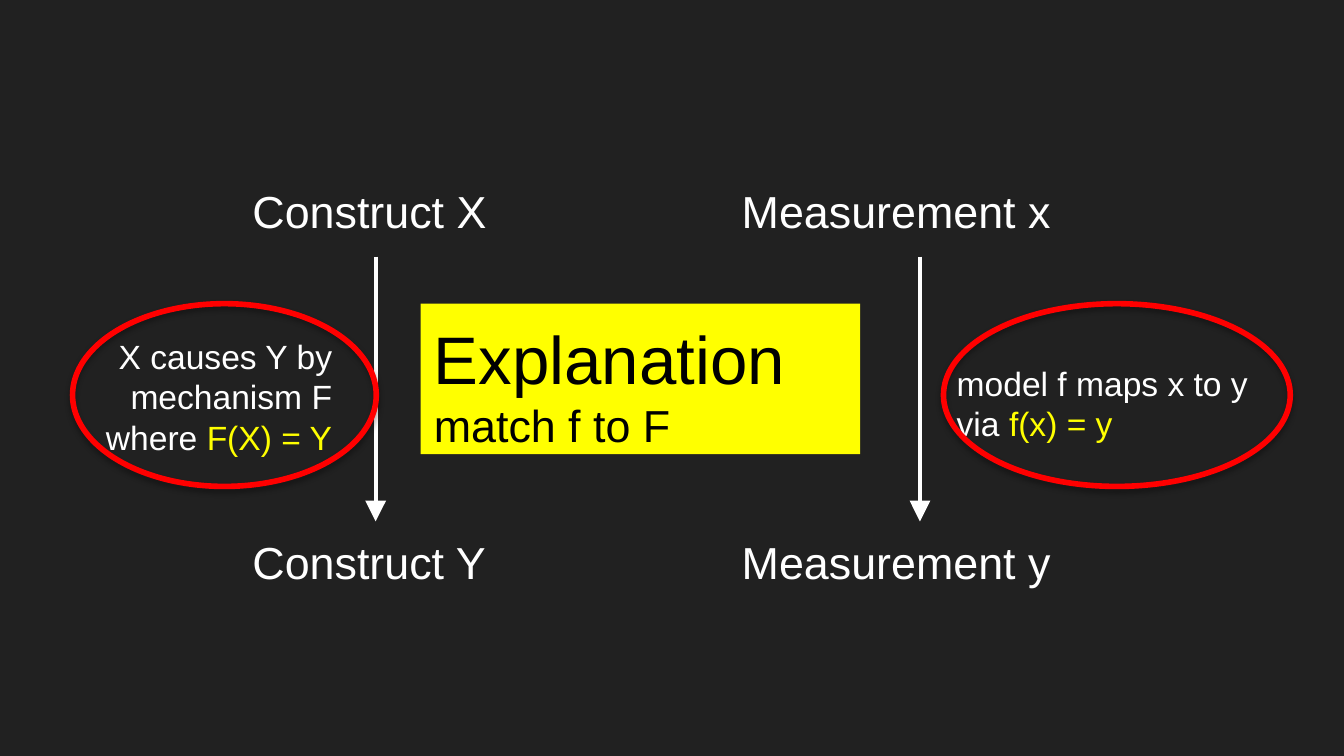
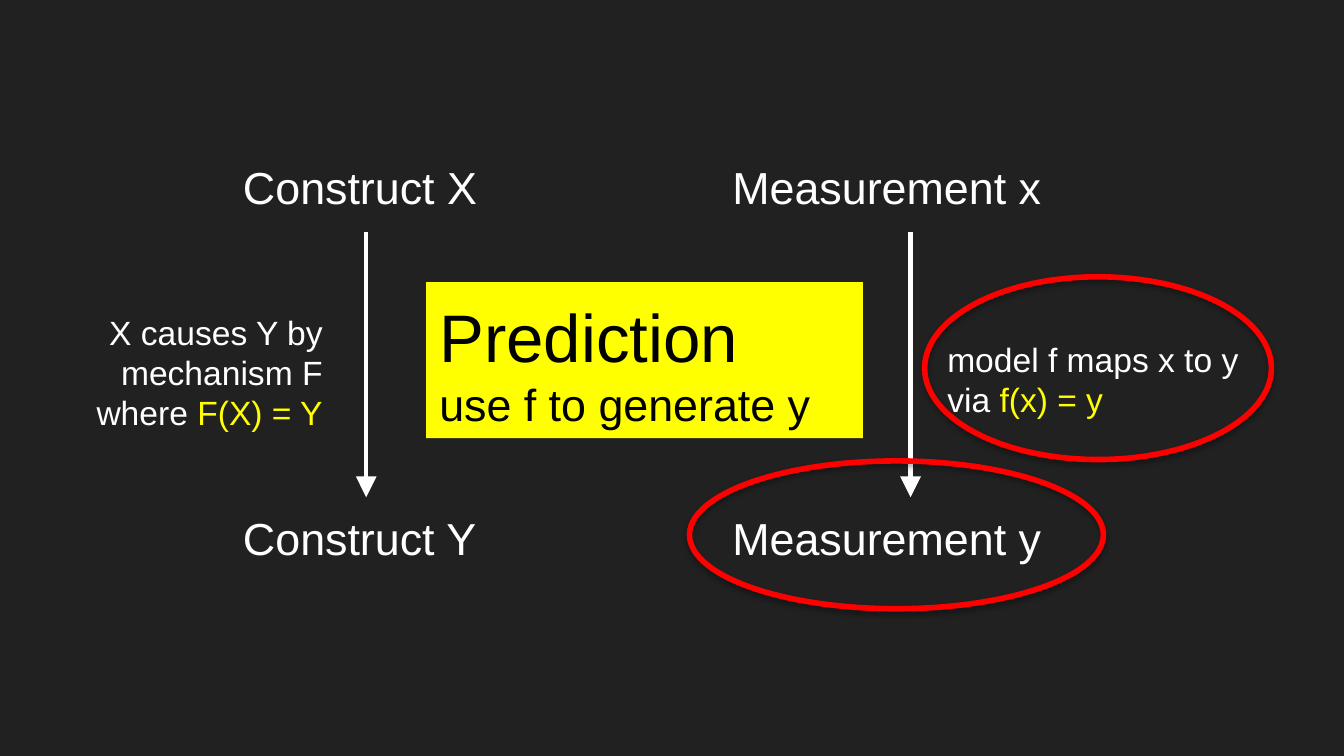
from lxml import etree
from pptx import Presentation
from pptx.dml.color import RGBColor
from pptx.enum.shapes import MSO_CONNECTOR, MSO_SHAPE
from pptx.enum.text import MSO_ANCHOR, PP_ALIGN
from pptx.oxml import parse_xml
from pptx.oxml.ns import nsdecls, qn
from pptx.util import Inches, Pt

COLORS = {"background": "212121", "text": "FFFFFF", "accent": "FFFF00",
          "ring": "FF0000", "dark": "000000"}
FONT = "Arial"
RING_SHADOW = (
    f'<a:effectLst {nsdecls("a")}>'
    '<a:outerShdw blurRad="39370" dist="22860" dir="5400000" rotWithShape="0">'
    f'<a:srgbClr val="{COLORS["dark"]}"><a:alpha val="35000"/></a:srgbClr>'
    '</a:outerShdw></a:effectLst>')

# Diagram shared by both slides: kind, letters, left and width of each column
COLUMNS = [("Construct", "XY", 1.78, 2.03), ("Measurement", "xy", 5.42, 2.85)]
HEADING_TOPS = (1.27, 3.88)
HEADING_HEIGHT = 0.64
NOTES = [
    ((0.54, 2.4, 2.03, 1.04), PP_ALIGN.RIGHT,
     [["X causes Y by mechanism F"], ["where ", "F(X) = Y"]]),
    ((7.02, 2.6, 2.58, 0.78), PP_ALIGN.LEFT,
     [["model f maps x to y"], ["via ", "f(x) = y"]]),
]

# What differs: diagram shift, yellow panel and the rings around the parts in focus
GOALS = [
    {"shift": (0, 0), "panel": (3.13, 2.26, 3.27, 1.12),
     "words": ("Explanation", "match f to F"),
     "rings": [(0.54, 2.26, 2.26, 1.36), (7.02, 2.26, 2.58, 1.36)]},
    {"shift": (-0.07, -0.18), "panel": (3.17, 2.1, 3.25, 1.16),
     "words": ("Prediction", "use f to generate y"),
     "rings": [(6.88, 2.06, 2.58, 1.36), (5.13, 3.43, 3.08, 1.1)]},
]


def rgb(name):
    return RGBColor.from_string(COLORS[name])


def write(shape, lines, sizes, colors, align=PP_ALIGN.LEFT):
    """Fill a shape with lines of runs; sizes go by line, colours by run."""
    frame = shape.text_frame
    frame.word_wrap = True
    frame.vertical_anchor = MSO_ANCHOR.TOP
    frame.margin_left = frame.margin_right = Inches(0.1)
    frame.margin_top = frame.margin_bottom = Inches(0.1)
    for index, (line, size) in enumerate(zip(lines, sizes)):
        paragraph = frame.add_paragraph() if index else frame.paragraphs[0]
        paragraph.alignment = align
        paragraph.line_spacing = 1.0
        for words, color in zip(line, colors):
            run = paragraph.add_run()
            run.text = words
            run.font.name = FONT
            run.font.size = Pt(size)
            run.font.color.rgb = rgb(color)


deck = Presentation()
deck.slide_width = Inches(10)
deck.slide_height = deck.slide_width * 9 // 16

for goal in GOALS:
    slide = deck.slides.add_slide(deck.slide_layouts[6])
    slide.background.fill.solid()
    slide.background.fill.fore_color.rgb = rgb("background")
    shapes = slide.shapes
    dx, dy = goal["shift"]

    # Cause and effect headings, joined by an arrow
    for kind, letters, left, width in COLUMNS:
        headings = []
        for letter, top in zip(letters, HEADING_TOPS):
            heading = shapes.add_textbox(Inches(left + dx), Inches(top + dy),
                                         Inches(width), Inches(HEADING_HEIGHT))
            write(heading, [[f"{kind} {letter}"]], [24], ["text"])
            headings.append(heading)
        arrow = shapes.add_connector(MSO_CONNECTOR.STRAIGHT, 0, 0, 0, 0)
        arrow.begin_connect(headings[0], 2)
        arrow.end_connect(headings[1], 0)
        arrow.line.color.rgb = rgb("text")
        arrow.line.width = Pt(2.25)
        etree.SubElement(arrow.line._get_or_add_ln(), qn("a:tailEnd"),
                         type="triangle", w="lg", len="lg")
        etree.SubElement(arrow._element.spPr, qn("a:effectLst"))

    # Notes beside the arrows
    for (left, top, width, height), align, lines in NOTES:
        note = shapes.add_textbox(Inches(left + dx), Inches(top + dy),
                                  Inches(width), Inches(height))
        write(note, lines, [18, 18], ["text", "accent"], align)

    # Yellow panel naming the goal
    panel = shapes.add_shape(MSO_SHAPE.RECTANGLE, *map(Inches, goal["panel"]))
    panel.shadow.inherit = False
    panel.fill.solid()
    panel.fill.fore_color.rgb = rgb("accent")
    panel.line.fill.background()
    write(panel, [[words] for words in goal["words"]], [36, 24], ["dark"])

    # Red rings
    for box in goal["rings"]:
        ring = shapes.add_shape(MSO_SHAPE.OVAL, *map(Inches, box))
        ring.fill.background()
        ring.line.color.rgb = rgb("ring")
        ring.line.width = Pt(3)
        ring._element.spPr.append(parse_xml(RING_SHADOW))

deck.save("out.pptx")
